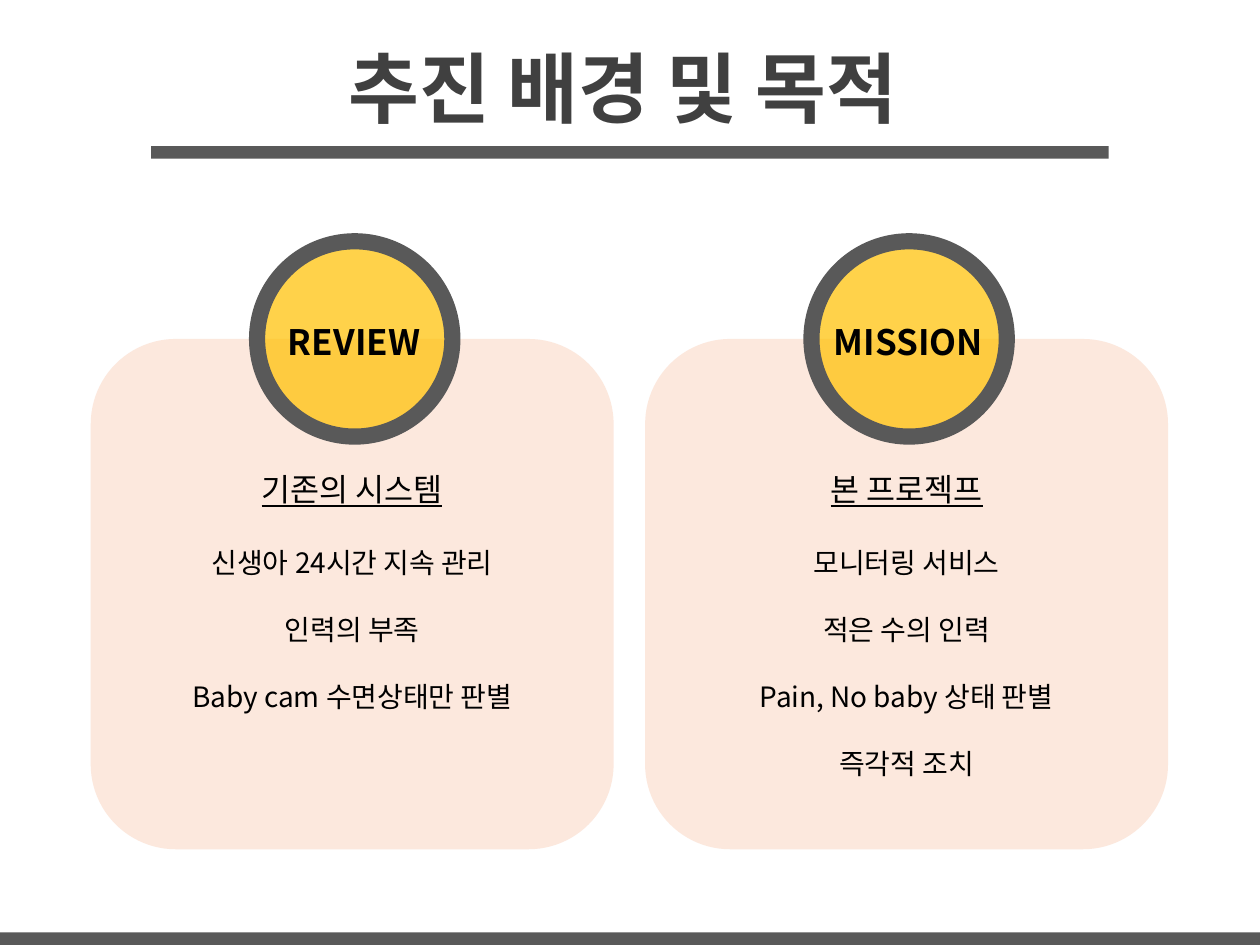
from lxml import etree
from pptx import Presentation
from pptx.dml.color import RGBColor
from pptx.enum.shapes import MSO_SHAPE
from pptx.enum.text import MSO_ANCHOR, PP_ALIGN
from pptx.oxml.ns import qn
from pptx.util import Inches, Pt

RECTANGLE = MSO_SHAPE.RECTANGLE
ROUNDED = MSO_SHAPE.ROUNDED_RECTANGLE
OVAL = MSO_SHAPE.OVAL
MIDDLE = MSO_ANCHOR.MIDDLE
TOP = MSO_ANCHOR.TOP
CENTER = PP_ALIGN.CENTER

FONT = "Noto Sans CJK KR"
COLORS = {
    "title": "404040",
    "bar": "595959",
    "card": "FBE0D1",
    "badge": "FFC000",
    "text": "000000",
}
WIDTH, HEIGHT = 10, 7.5
BAR_HEIGHT = 0.1
CARD_WIDTH, CARD_HEIGHT = 4.15, 4.05
CARD_LEFT, CARD_TOP, CARD_STEP = 0.72, 2.69, 4.4
BADGE_SIZE = 1.55
LINE_RATIO = 1.2

CARDS = [
    ("REVIEW", "기존의 시스템",
     ["신생아 24시간 지속 관리", "인력의 부족", "Baby cam 수면상태만 판별"]),
    ("MISSION", "본 프로젝프",
     ["모니터링 서비스", "적은 수의 인력", "Pain, No baby 상태 판별", "즉각적 조치"]),
]


def color(name):
    return RGBColor.from_string(COLORS[name])


def add_block(slide, kind, box, fill, opacity=100):
    shape = slide.shapes.add_shape(kind, *map(Inches, box))
    shape.shadow.inherit = False
    shape.fill.solid()
    shape.fill.fore_color.rgb = color(fill)
    shape.line.fill.background()
    if opacity < 100:
        solid = shape.fill._xPr.find(qn("a:solidFill"))
        etree.SubElement(solid[0], qn("a:alpha"), val=str(opacity * 1000))
    return shape


def add_text_box(slide, box, anchor=TOP):
    frame = slide.shapes.add_textbox(*map(Inches, box)).text_frame
    frame.word_wrap = True
    frame.vertical_anchor = anchor
    return frame


def write(paragraph, text, size, ink="text", bold=False, underline=False):
    paragraph.text = text
    paragraph.alignment = CENTER
    font = paragraph.font
    font.name, font.size = FONT, Pt(size)
    font.bold, font.underline = bold, underline
    font.color.rgb = color(ink)
    for run in paragraph.runs:
        properties = run._r.get_or_add_rPr()
        etree.SubElement(properties, qn("a:ea"), typeface=FONT)


def add_header(slide, left, top, width, height):
    frame = add_text_box(slide, (left, top, width, height), MIDDLE)
    write(frame.paragraphs[0], "추진 배경 및 목적", 44, "title", bold=True)
    add_block(slide, RECTANGLE, (1.2, 1.16, 7.6, BAR_HEIGHT), "bar")


def add_badge(slide, label, left, top, size):
    badge = add_block(slide, OVAL, (left, top, size, size), "badge", 71)
    badge.line.color.rgb = color("bar")
    badge.line.width = Pt(9.25)
    label_height = 0.44
    box = (left + 0.03, top + (size - label_height) / 2, 1.48, label_height)
    paragraph = add_text_box(slide, box).paragraphs[0]
    write(paragraph, label, 20, bold=True)
    paragraph.line_spacing = Pt(26)


def add_card(slide, card, left, top, width, height):
    label, heading, items = card
    add_block(slide, ROUNDED, (left, top, width, height), "card", 73)
    badge_left = left + (width - BADGE_SIZE) / 2 + 0.02
    add_badge(slide, label, badge_left, top - BADGE_SIZE / 2, BADGE_SIZE)

    text_height = 0.44 + 0.54 * len(items)
    frame = add_text_box(slide, (left - 0.02, top + 0.99, width + 0.04, text_height))
    paragraph = frame.paragraphs[0]
    write(paragraph, heading, 18, underline=True)
    paragraph.line_spacing = Pt(18 * LINE_RATIO)
    for index, item in enumerate(items):
        paragraph = frame.add_paragraph()
        write(paragraph, item, 16)
        paragraph.line_spacing = Pt(16 * LINE_RATIO)
        paragraph.space_before = Pt((16 if index else 18) * LINE_RATIO)


def main():
    presentation = Presentation()
    presentation.slide_width = Inches(WIDTH)
    presentation.slide_height = Inches(HEIGHT)
    slide = presentation.slides.add_slide(presentation.slide_layouts[6])

    add_header(slide, 0.28, 0.2, 9.33, 0.97)
    for column, card in enumerate(CARDS):
        left = CARD_LEFT + column * CARD_STEP
        add_card(slide, card, left, CARD_TOP, CARD_WIDTH, CARD_HEIGHT)
    add_block(slide, RECTANGLE, (0, HEIGHT - BAR_HEIGHT, WIDTH, BAR_HEIGHT), "bar")
    presentation.save("out.pptx")


if __name__ == "__main__":
    main()
